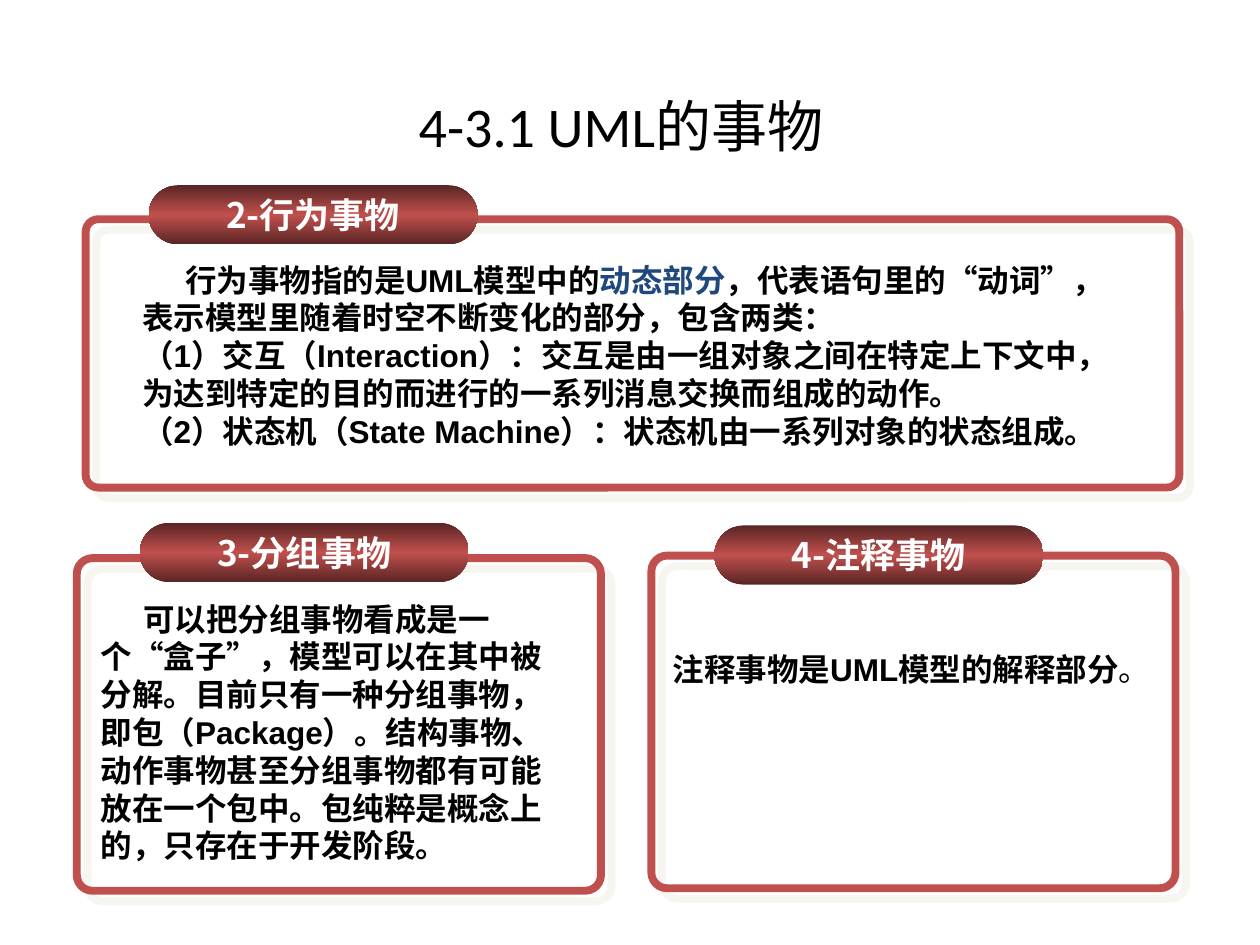
from lxml import etree
from pptx import Presentation
from pptx.dml.color import RGBColor
from pptx.enum.shapes import MSO_SHAPE as SHAPE
from pptx.enum.text import MSO_ANCHOR as ANCHOR, PP_ALIGN as ALIGN
from pptx.oxml import parse_xml
from pptx.oxml.ns import nsdecls, qn
from pptx.util import Inches, Pt

RED, DARK_RED, SHADOW = "C0504D", "592524", "EEECE1"
BLACK, WHITE, BLUE = "000000", "FFFFFF", "1F497D"
CJK = "Noto Sans CJK SC"


def rgb(value):
    return RGBColor.from_string(value)


def box(left, top, width, height):
    return [Inches(v) for v in (left, top, width, height)]


def style_run(r, font, size, color=BLACK, bold=True):
    r.font.name, r.font.size, r.font.bold = font, Pt(size), bold
    r.font.color.rgb = rgb(color)
    ea = etree.SubElement(r._r.get_or_add_rPr(), qn("a:ea"))
    ea.set("typeface", CJK)


def add_title(slide, text):
    title = slide.shapes.title
    title.left, title.top, title.width, title.height = box(0.43, 0.37, 9, 1.25)
    tf = title.text_frame
    tf.text = text
    tf.vertical_anchor = ANCHOR.MIDDLE
    p = tf.paragraphs[0]
    p.alignment = ALIGN.CENTER
    style_run(p.runs[0], "Calibri", 32, bold=False)


def add_body(slide, area, paragraphs, indent=0):
    """Each paragraph is a list of (text, format changes) pairs."""
    tf = slide.shapes.add_textbox(*box(*area)).text_frame
    tf.word_wrap = True
    for i, parts in enumerate(paragraphs):
        p = tf.add_paragraph() if i else tf.paragraphs[0]
        # Keep closing punctuation inside the margin
        p_pr = p._p.get_or_add_pPr()
        p_pr.set("hangingPunct", "0")
        if indent and i == 0:
            p_pr.set("indent", str(Inches(indent)))
        for text, changes in parts:
            r = p.add_run()
            r.text = text
            style_run(r, "Arial", 18, **changes)


def add_frame(slide, area):
    sp = slide.shapes.add_shape(SHAPE.ROUNDED_RECTANGLE, *box(*area))
    sp.adjustments[0] = 0.047
    sp.fill.background()
    sp.line.color.rgb = rgb(RED)
    sp.line.width = Pt(4.5)
    # Offset shadow to the lower right
    sp.shadow.inherit = False
    sp._element.spPr.find(qn("a:effectLst")).append(parse_xml(
        f'<a:outerShdw {nsdecls("a")} dist="{Pt(8.5)}" dir="2700000" algn="ctr" '
        f'rotWithShape="0"><a:srgbClr val="{SHADOW}"><a:alpha val="50000"/>'
        '</a:srgbClr></a:outerShdw>'))


def add_label(slide, left, top, text):
    sp = slide.shapes.add_shape(SHAPE.ROUNDED_RECTANGLE, *box(left, top, 2.61, 0.47))
    sp.adjustments[0] = 0.5
    sp.shadow.inherit = False
    sp.line.fill.background()
    # Vertical gradient, lightest in the middle
    stops = "".join(
        f'<a:gs pos="{pos * 1000}"><a:srgbClr val="{color}"/></a:gs>'
        for pos, color in ((0, DARK_RED), (50, RED), (100, DARK_RED)))
    sp._element.spPr.find(qn("a:ln")).addprevious(parse_xml(
        f'<a:gradFill {nsdecls("a")} rotWithShape="1"><a:gsLst>{stops}</a:gsLst>'
        '<a:lin ang="5400000" scaled="1"/></a:gradFill>'))
    tf = sp.text_frame
    tf.text = text
    tf.word_wrap = False
    tf.vertical_anchor = ANCHOR.MIDDLE
    p = tf.paragraphs[0]
    p.alignment = ALIGN.CENTER
    style_run(p.runs[0], CJK, 20, WHITE)


def add_panel(slide, label, frame, label_top, text_area, paragraphs, indent=0):
    add_body(slide, text_area, paragraphs, indent)
    add_frame(slide, frame)
    add_label(slide, frame[0] + 0.5, label_top, label)


def main():
    prs = Presentation()
    prs.slide_width, prs.slide_height = Inches(10), Inches(7.5)
    slide = prs.slides.add_slide(prs.slide_layouts[5])
    add_title(slide, "4-3.1 UML的事物")

    # Behavioural things
    add_panel(slide, "2-行为事物", (0.68, 1.74, 8.68, 2.13), 1.47,
              (1.03, 2.02, 7.88, 1.9), [
        [("行为事物指的是UML模型中的", {}), ("动态部分", {"color": BLUE}),
         ("，代表语句里的“动词”，表示模型里随着时空不断变化的部分，包含两类：", {})],
        [("（1）交互（Interaction）：交互是由一组对象之间在特定上下文中，"
          "为达到特定的目的而进行的一系列消息交换而组成的动作。", {})],
        [("（2）状态机（State Machine）：状态机由一系列对象的状态组成。", {})],
    ], indent=0.34)

    # Grouping things
    add_panel(slide, "3-分组事物", (0.61, 4.43, 4.16, 2.64), 4.15,
              (0.7, 4.71, 3.74, 2.2), [
        [("可以把分组事物看成是一个“盒子”，模型可以在其中被分解。"
          "目前只有一种分组事物，即包（Package）。结构事物、动作事物甚至分组事物"
          "都有可能放在一个包中。包纯粹是概念上的，只存在于开发阶段。", {})],
    ], indent=0.34)

    # Annotational things
    add_panel(slide, "4-注释事物", (5.17, 4.41, 4.16, 2.64), 4.17,
              (5.24, 5.11, 4, 0.7), [
        [("注释事物是UML模型的解释部分", {}), ("。", {"bold": False})],
    ])

    prs.save("out.pptx")


if __name__ == "__main__":
    main()
